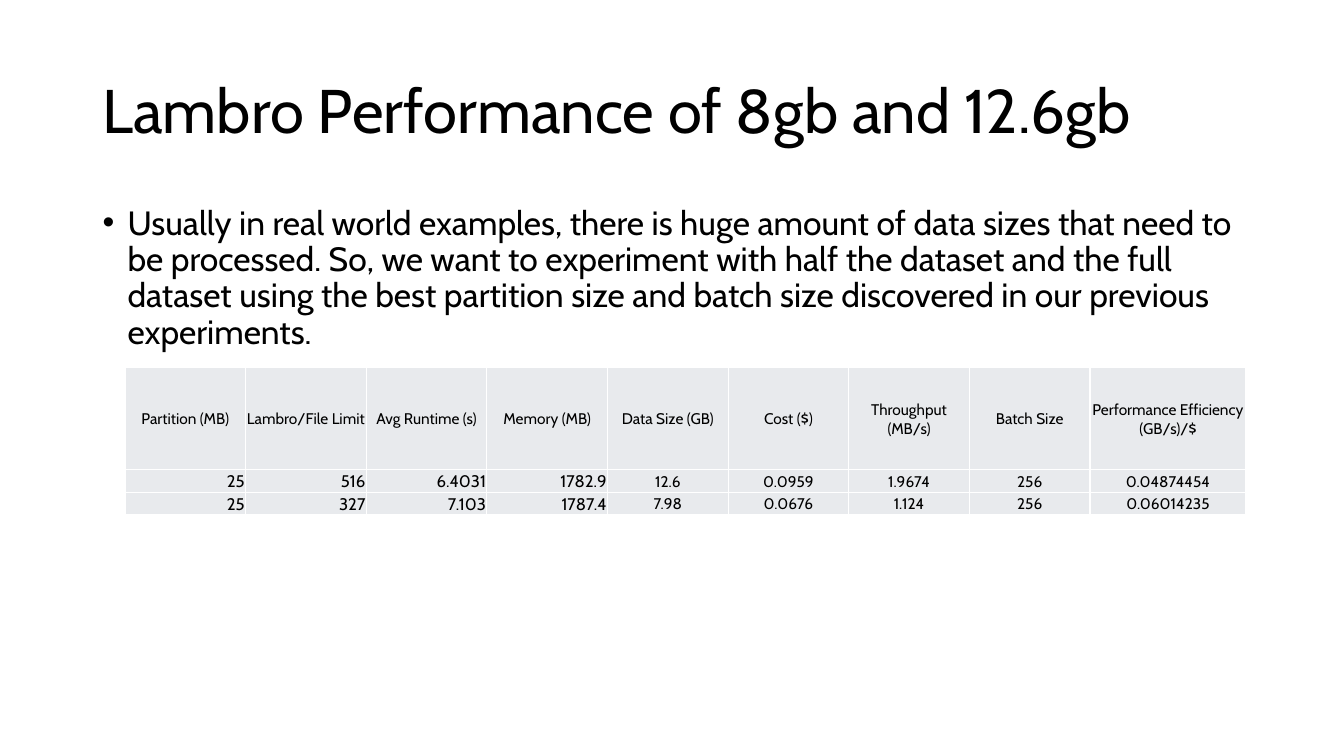
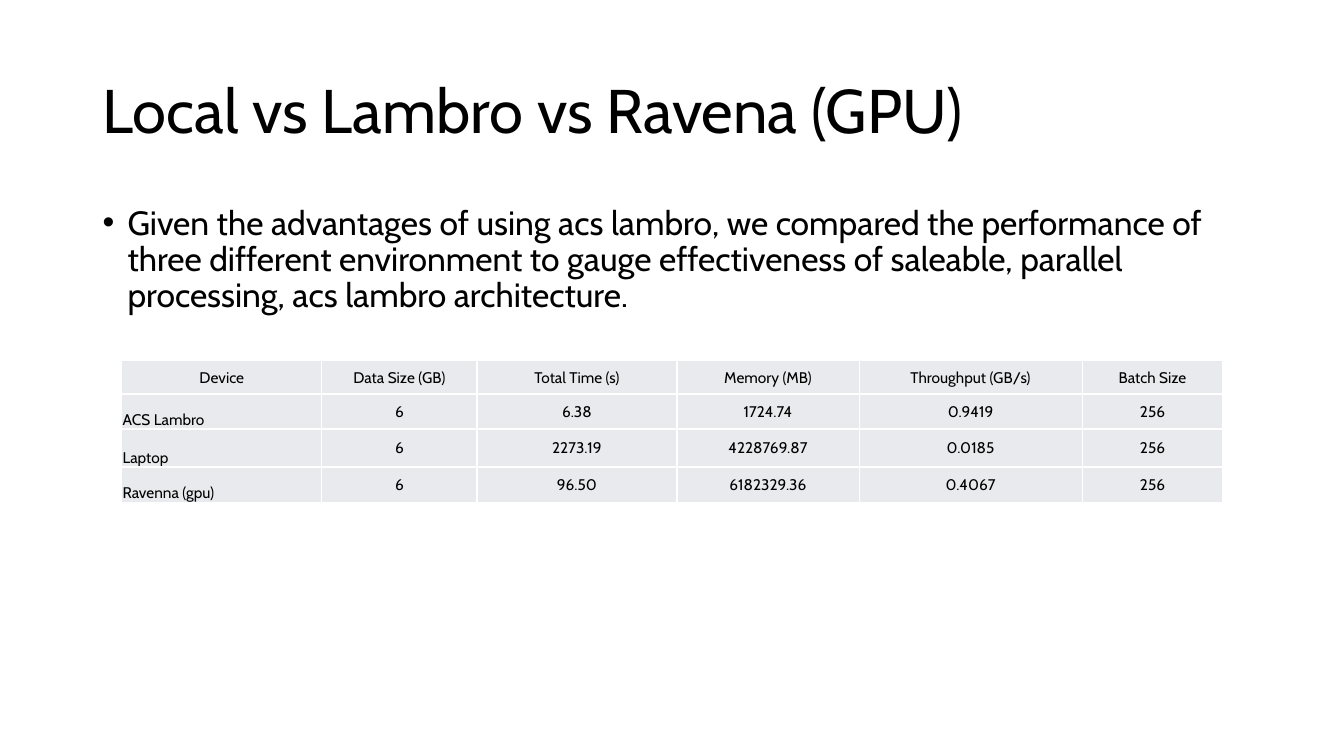
from lxml.etree import SubElement
from pptx import Presentation
from pptx.dml.color import RGBColor
from pptx.enum.text import MSO_ANCHOR, MSO_AUTO_SIZE, PP_ALIGN
from pptx.oxml import parse_xml
from pptx.oxml.ns import nsdecls, qn
from pptx.util import Cm, Pt

BLACK = RGBColor(0x00, 0x00, 0x00)
WHITE = RGBColor(0xFF, 0xFF, 0xFF)
GREY = RGBColor(0xE8, 0xEA, 0xED)
FONT = "Cabin"


def write(frame, text, size=11, color=BLACK, align=PP_ALIGN.LEFT,
          anchor=MSO_ANCHOR.TOP, lead=None, before=None):
    """Fill a text frame with one formatted paragraph."""
    frame.word_wrap = True
    frame.vertical_anchor = anchor
    para = frame.paragraphs[0]
    para.alignment = align
    para.line_spacing = lead
    para.space_before = before
    run = para.add_run()
    run.text = text
    run.font.name = FONT
    run.font.size = Pt(size)
    run.font.color.rgb = color
    return para


def border(cell, color=WHITE, width=1):
    """Draw the four edges of a table cell."""
    props = cell._tc.get_or_add_tcPr()
    for place, side in enumerate(("lnL", "lnR", "lnT", "lnB")):
        line = parse_xml(f'<a:{side} {nsdecls("a")} w="{Pt(width)}"/>')
        fill = SubElement(line, qn("a:solidFill"))
        SubElement(fill, qn("a:srgbClr"), val=str(color))
        props.insert(place, line)


class Deck:
    """Holds the shared style and the current slide."""

    left, width = Cm(2.33), Cm(29.21)

    def __init__(self):
        self.prs = Presentation()
        self.prs.slide_width = Cm(33.87)
        self.prs.slide_height = Cm(19.05)
        self.slide = None

    def start(self, title, body):
        layout = self.prs.slide_layouts[1]
        self.slide = self.prs.slides.add_slide(layout)
        self.title(title)
        self.bullet(body)

    def place(self, holder, top, height):
        holder.left, holder.width = self.left, self.width
        holder.top, holder.height = Cm(top), Cm(height)
        holder.text_frame.auto_size = MSO_AUTO_SIZE.NONE
        return holder.text_frame

    def title(self, text):
        frame = self.place(self.slide.shapes.title, 1.01, 3.68)
        write(frame, text, size=44, anchor=MSO_ANCHOR.MIDDLE, lead=0.9)

    def bullet(self, text):
        frame = self.place(self.slide.placeholders[1], 5.07, 12.09)
        para = write(frame, text, size=24, lead=0.9, before=Pt(10))
        props = para._p.get_or_add_pPr()
        props.set("marL", str(Cm(0.63)))
        props.set("indent", str(-Cm(0.63)))
        SubElement(props, qn("a:buChar"), char="•")

    def table(self, left, top, cols, rows, data, lead_cols, style):
        """Add a table; style formats the first lead_cols below the head."""
        grid = self.slide.shapes.add_table(
            len(rows), len(cols), Cm(left), Cm(top),
            Cm(sum(cols)), Cm(sum(rows))).table
        grid.first_row = grid.horz_banding = False
        for col, width in zip(grid.columns, cols):
            col.width = Cm(width)
        for row, height in zip(grid.rows, rows):
            row.height = Cm(height)
        base = {"align": PP_ALIGN.CENTER, "anchor": MSO_ANCHOR.MIDDLE}
        for r, line in enumerate(data):
            for c, text in enumerate(line):
                look = base | style if r and c < lead_cols else base
                self.cell(grid.cell(r, c), text, look)

    def cell(self, cell, text, look):
        cell.margin_left = cell.margin_right = cell.margin_top = Cm(0.02)
        cell.margin_bottom = 0
        cell.fill.solid()
        cell.fill.fore_color.rgb = GREY
        border(cell)
        write(cell.text_frame, text, **look)
        cell.vertical_anchor = look["anchor"]


def main():
    deck = Deck()

    # Half and full dataset
    deck.start(
        "Lambro Performance of 8gb and 12.6gb",
        "Usually in real world examples, there is huge amount of data sizes "
        "that need to be processed. So, we want to experiment with half the "
        "dataset and the full dataset using the best partition size and batch "
        "size discovered in our previous experiments.")
    deck.table(
        3.15, 9.27, [3.04] * 8 + [3.93], [2.57, 0.57, 0.57],
        [["Partition (MB)", "Lambro/File Limit", "Avg Runtime (s)",
          "Memory (MB)", "Data Size (GB)", "Cost ($)", "Throughput (MB/s)",
          "Batch Size", "Performance Efficiency (GB/s)/$"],
         ["25", "516", "6.4031", "1782.9", "12.6", "0.0959", "1.9674",
          "256", "0.04874454"],
         ["25", "327", "7.103", "1787.4", "7.98", "0.0676", "1.124",
          "256", "0.06014235"]],
        4, {"align": PP_ALIGN.RIGHT, "size": 12})

    # Three environments
    deck.start(
        "Local vs Lambro vs Ravena (GPU)",
        "Given the advantages of using acs lambro, we compared the "
        "performance of three different environment to gauge effectiveness "
        "of saleable, parallel processing, acs lambro architecture.")
    deck.table(
        3.07, 9.09, [5.04, 3.91, 5.04, 4.59, 5.62, 3.55],
        [0.84, 0.88, 0.96, 0.9],
        [["Device", "Data Size (GB)", "Total Time (s)", "Memory (MB)",
          "Throughput (GB/s)", "Batch Size"],
         ["ACS Lambro", "6", "6.38", "1724.74", "0.9419", "256"],
         ["Laptop", "6", "2273.19", "4228769.87", "0.0185", "256"],
         ["Ravenna (gpu)", "6", "96.50", "6182329.36", "0.4067", "256"]],
        1, {"align": PP_ALIGN.LEFT, "anchor": MSO_ANCHOR.BOTTOM})

    deck.prs.save("out.pptx")


if __name__ == "__main__":
    main()
